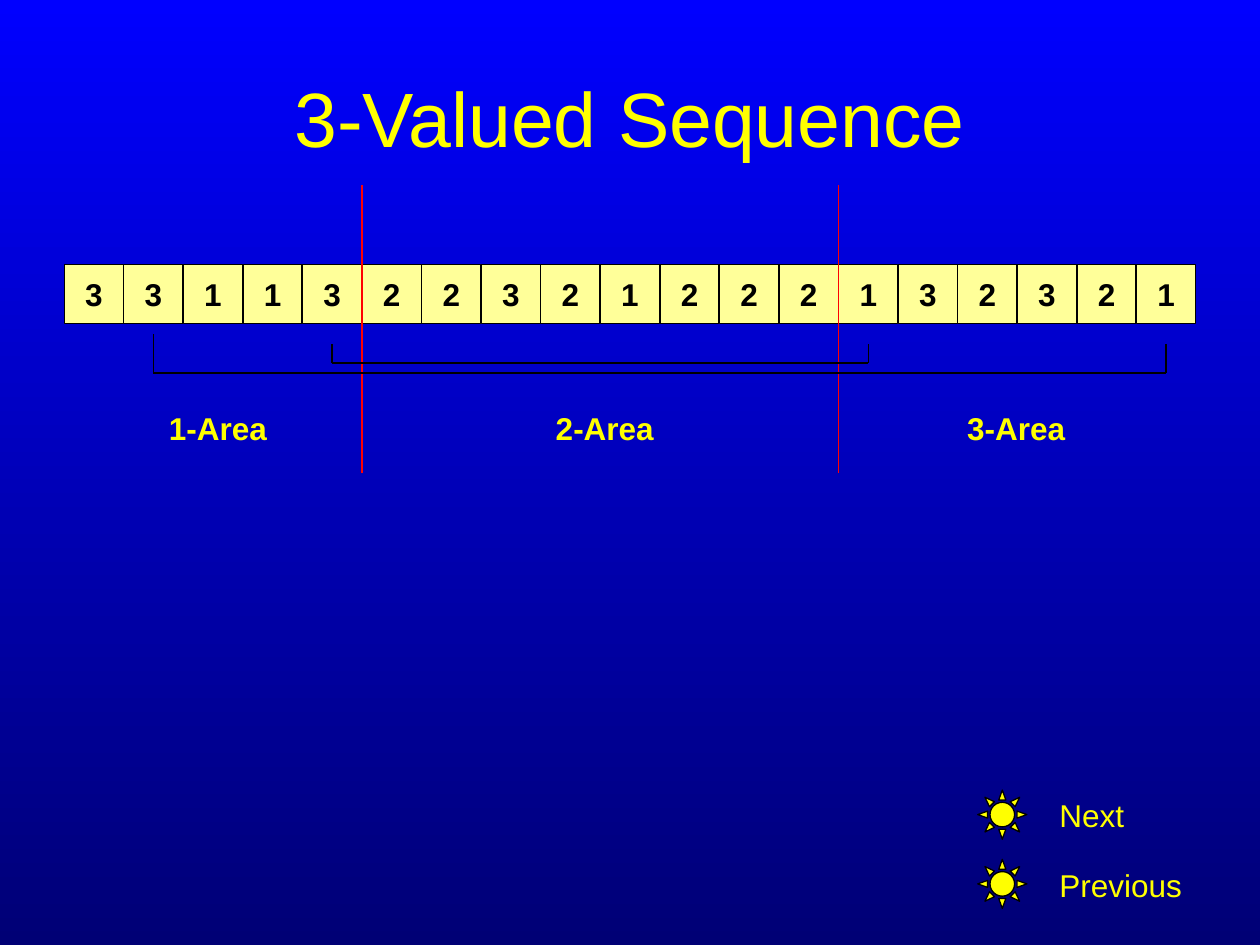
from typing import NamedTuple

from pptx import Presentation, util as u
from pptx.dml.color import RGBColor
from pptx.enum import shapes as es, text as et
from pptx.oxml.ns import qn
from lxml import etree

BLUE = RGBColor(0x00, 0x00, 0xFF)
NAVY = RGBColor(0x00, 0x00, 0x75)
YELLOW = RGBColor(0xFF, 0xFF, 0x00)
CREAM = RGBColor(0xFF, 0xFF, 0x99)
BLACK = RGBColor(0x00, 0x00, 0x00)
RED = RGBColor(0xFF, 0x00, 0x00)

VALUES = "3311322321222132321"
LEFT, TOP, SIZE = 0.51, 2.1, 0.47
PITCH = (9.02 - LEFT) / (len(VALUES) - 1)


class Label(NamedTuple):
    text: str
    x: float
    y: float
    w: float
    h: float = 0.4
    size: int = 18
    bold: bool = False
    align: et.PP_ALIGN = et.PP_ALIGN.CENTER


class Bracket(NamedTuple):
    """Joins two cells from below; start and end are the tops of its arms."""
    first: int
    last: int
    start: float
    end: float
    base: float


TITLE = Label("3-Valued Sequence", 0.5, 0.3, 9, 1.25, 44)
AREAS = [
    Label("1-Area", 0.59, 3.2, 2.28, bold=True),
    Label("2-Area", 2.95, 3.2, 3.7, bold=True),
    Label("3-Area", 6.65, 3.2, 2.83, bold=True),
]
LINKS = [
    Label("Next", 8.31, 6.27, 1.5, align=et.PP_ALIGN.LEFT),
    Label("Previous", 8.31, 6.82, 1.5, align=et.PP_ALIGN.LEFT),
]
CUTS = [5, 13]
BRACKETS = [Bracket(4, 13, 2.73, 2.73, 2.88), Bracket(1, 18, 2.65, 2.73, 2.96)]


def edge(i: int) -> float:
    """Left edge of cell i."""
    return LEFT + i * PITCH


def write(frame, text: str, size: int, color: RGBColor, bold: bool,
          align: et.PP_ALIGN) -> None:
    para = frame.paragraphs[0]
    para.alignment = align
    run = para.add_run()
    run.text = text
    font = run.font
    font.name, font.size, font.bold = "Arial", u.Pt(size), bold
    font.color.rgb = color


def add_label(slide, label: Label) -> None:
    box = slide.shapes.add_textbox(*map(u.Inches, label[1:5]))
    frame = box.text_frame
    frame.word_wrap = True
    frame.vertical_anchor = et.MSO_ANCHOR.MIDDLE
    write(frame, label.text, label.size, YELLOW, label.bold, label.align)


def add_solid(slide, kind: es.MSO_SHAPE, x: float, y: float, size: float,
              color: RGBColor):
    """Add a square-sized filled shape with a thin black outline."""
    side = u.Inches(size)
    shape = slide.shapes.add_shape(kind, u.Inches(x), u.Inches(y), side, side)
    shape.shadow.inherit = False
    shape.fill.solid()
    shape.fill.fore_color.rgb = color
    shape.line.color.rgb = BLACK
    shape.line.width = u.Pt(0.75)
    return shape


def add_cell(slide, i: int, value: str) -> None:
    cell = add_solid(slide, es.MSO_SHAPE.RECTANGLE, edge(i), TOP, SIZE, CREAM)
    frame = cell.text_frame
    frame.word_wrap = False
    frame.vertical_anchor = et.MSO_ANCHOR.MIDDLE
    write(frame, value, 18, BLACK, True, et.PP_ALIGN.CENTER)


def add_line(slide, x1: float, y1: float, x2: float, y2: float,
             color: RGBColor) -> None:
    line = slide.shapes.add_connector(
        es.MSO_CONNECTOR.STRAIGHT, *map(u.Inches, (x1, y1, x2, y2)))
    line.line.color.rgb = color
    line.line.width = u.Pt(0.75)
    etree.SubElement(line._element.spPr, qn("a:effectLst"))


def add_bracket(slide, b: Bracket) -> None:
    x1, x2 = (edge(i) + SIZE / 2 for i in (b.first, b.last))
    add_line(slide, x1, b.start, x1, b.base, BLACK)
    add_line(slide, x1, b.base, x2, b.base, BLACK)
    add_line(slide, x2, b.base, x2, b.end, BLACK)


def paint(slide) -> None:
    """Fill the background with a top-to-bottom gradient."""
    fill = slide.background.fill
    fill.gradient()
    fill.gradient_angle = 270
    for stop, pos, color in zip(fill.gradient_stops, (0, 1), (BLUE, NAVY)):
        stop.position = pos
        stop.color.rgb = color


def main() -> None:
    deck = Presentation()
    deck.slide_width, deck.slide_height = u.Inches(10), u.Inches(7.5)
    slide = deck.slides.add_slide(deck.slide_layouts[6])
    paint(slide)
    add_label(slide, TITLE)
    for i, value in enumerate(VALUES):
        add_cell(slide, i, value)
    for link in LINKS:
        add_label(slide, link)
    for link in LINKS:
        add_solid(slide, es.MSO_SHAPE.SUN, 7.76, link.y, 0.39, YELLOW)
    for cut in CUTS:
        add_line(slide, edge(cut), 1.47, edge(cut), 3.75, RED)
    for area in AREAS:
        add_label(slide, area)
    for bracket in BRACKETS:
        add_bracket(slide, bracket)
    deck.save("out.pptx")


if __name__ == "__main__":
    main()
